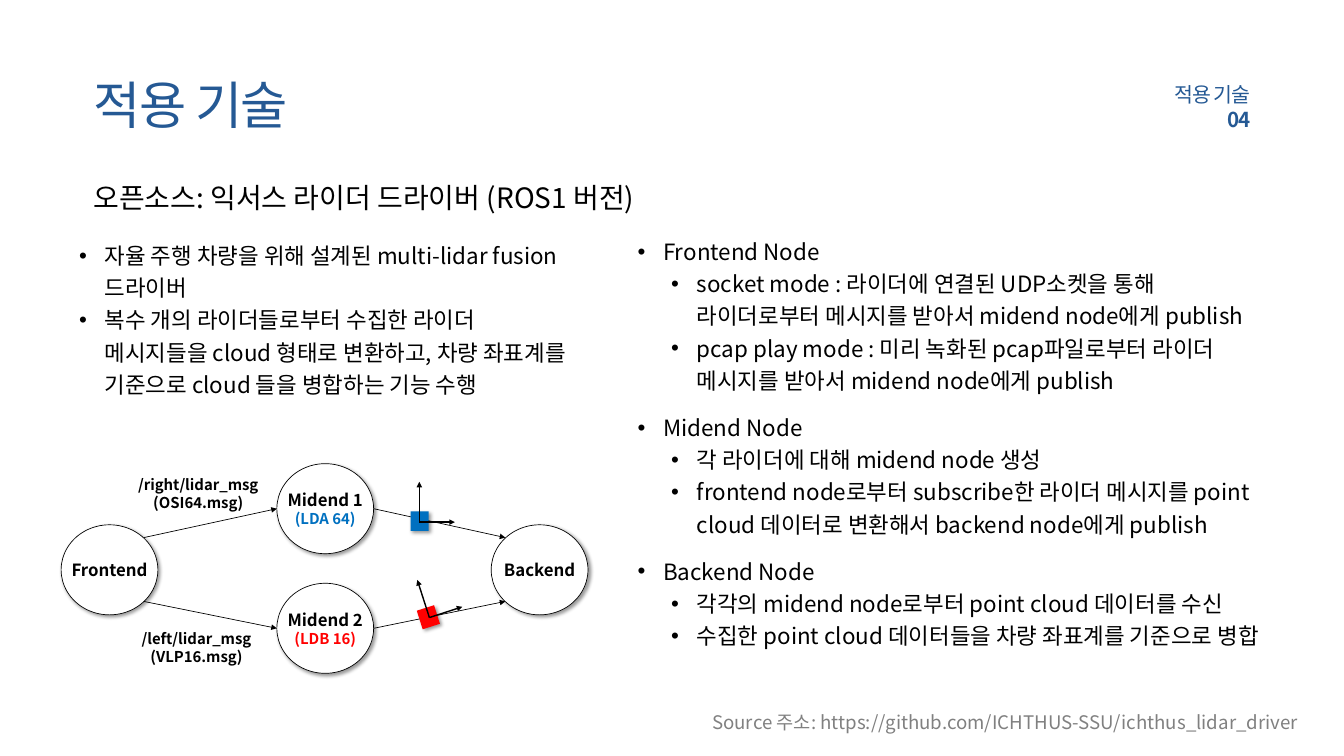
"""Build the slide on the open-source lidar driver and its node graph."""

from dataclasses import dataclass
from typing import Any

import lxml.etree
import pptx
import pptx.dml.color
import pptx.enum.shapes
import pptx.enum.text
import pptx.oxml.ns
import pptx.util
from pptx.util import Inches

FONT = "Noto Sans CJK KR"
COLORS = {
    "title": "255994",
    "black": "000000",
    "white": "FFFFFF",
    "blue": "0070C0",
    "red": "FF0000",
    "gray": "808080",
}
ALIGN = pptx.enum.text.PP_ALIGN
ANCHOR = pptx.enum.text.MSO_ANCHOR
SHAPE = pptx.enum.shapes.MSO_SHAPE
LINE_FACTOR = 1.2
BULLET_FACTOR = 1.44
NODE_SIZE = (1.44, 1.34)
SENSOR_SIZE = (0.27, 0.29)


@dataclass(frozen=True)
class Line:
    text: str
    size: float
    color: str = "black"
    bold: bool = False
    align: Any = ALIGN.LEFT
    tracking: float = 0
    level: int | None = None


@dataclass(frozen=True)
class Node:
    left: float
    top: float
    name: str
    sensor: str = ""
    color: str = "black"


@dataclass(frozen=True)
class Arrow:
    start: tuple[float, float]
    end: tuple[float, float]
    width: float = 0.75


@dataclass(frozen=True)
class Sensor:
    left: float
    top: float
    color: str
    rotation: float = 0


@dataclass(frozen=True)
class BulletBlock:
    box: tuple[float, float, float, float]
    items: tuple[tuple[int, str], ...]


NODES = (
    Node(4.12, 6.9, "Midend 1", "(LDA 64)", "blue"),
    Node(4.12, 8.68, "Midend 2", "(LDB 16)", "red"),
    Node(0.91, 7.81, "Frontend"),
    Node(7.31, 7.81, "Backend"),
)
MESSAGE_ARROWS = (
    Arrow((2.14, 8), (4.12, 7.57)),
    Arrow((2.14, 8.95), (4.12, 9.35)),
    Arrow((5.56, 7.57), (7.52, 8)),
    Arrow((5.56, 9.35), (7.52, 8.95)),
)
MESSAGES = (
    ((1.94, 7.08, 2.02, 0.54), ("/right/lidar_msg", "(OSI64.msg)")),
    ((2.09, 9.37, 1.67, 0.54), ("/left/lidar_msg", "(VLP16.msg)")),
)
SENSORS = (Sensor(6.11, 7.61, "blue"), Sensor(6.24, 9.04, "red", 342.4))
AXES = (
    Arrow((6.24, 7.77), (6.24, 7.17), 1.5),
    Arrow((6.24, 7.77), (6.77, 7.77), 1.5),
    Arrow((6.39, 9.19), (6.21, 8.63), 1.5),
    Arrow((6.39, 9.19), (6.88, 9.03), 1.5),
)
BULLET_BLOCKS = (
    BulletBlock((9.39, 3.41, 9.7, 2.49), (
        (0, "Frontend Node"),
        (1, "socket mode : 라이더에 연결된 UDP소켓을 통해 라이더로부터 메시지를 받아서 midend node에게 publish"),
        (1, "pcap play mode : 미리 녹화된 pcap파일로부터 라이더 메시지를 받아서 midend node에게 publish"),
    )),
    BulletBlock((9.39, 6.03, 9.7, 2.01), (
        (0, "Midend Node"),
        (1, "각 라이더에 대해 midend node 생성"),
        (1, "frontend node로부터 subscribe한 라이더 메시지를 point cloud 데이터로 변환해서 backend node에게 publish"),
    )),
    BulletBlock((9.39, 8.17, 9.7, 1.52), (
        (0, "Backend Node"),
        (1, "각각의 midend node로부터 point cloud 데이터를 수신"),
        (1, "수집한 point cloud 데이터들을 차량 좌표계를 기준으로 병합"),
    )),
    BulletBlock((1.08, 3.47, 7.67, 2.49), (
        (0, "자율 주행 차량을 위해 설계된 multi-lidar fusion 드라이버"),
        (0, "복수 개의 라이더들로부터 수집한 라이더 메시지들을 cloud 형태로 변환하고, 차량 좌표계를 기준으로 cloud 들을 병합하는 기능 수행"),
    )),
)


def rgb(name: str) -> pptx.dml.color.RGBColor:
    """Return a palette colour."""
    return pptx.dml.color.RGBColor.from_string(COLORS[name])


def add_xml(parent: Any, tag: str, **attributes: str) -> Any:
    """Append a child element and return it."""
    return lxml.etree.SubElement(parent, pptx.oxml.ns.qn(tag), attributes)


def write(frame: Any, lines: list[Line], anchor: Any = ANCHOR.TOP, wrap: bool = True) -> None:
    """Fill a text frame with formatted paragraphs."""
    frame.word_wrap = wrap
    frame.auto_size = pptx.enum.text.MSO_AUTO_SIZE.NONE
    frame.vertical_anchor = anchor
    for index, line in enumerate(lines):
        paragraph = frame.paragraphs[0] if index == 0 else frame.add_paragraph()
        paragraph.text = line.text
        paragraph.alignment = line.align
        factor = LINE_FACTOR if line.level is None else BULLET_FACTOR
        paragraph.line_spacing = pptx.util.Pt(round(line.size * factor, 1))
        properties = paragraph._p.get_or_add_pPr()
        if line.level is not None:
            paragraph.level = line.level
            properties.set("marL", str(Inches(0.38 + 0.5 * line.level)))
            properties.set("indent", str(Inches(-0.38)))
            add_xml(properties, "a:buFont", typeface="Arial")
            add_xml(properties, "a:buChar", char="•")
        font = paragraph.font
        font.size = pptx.util.Pt(line.size)
        font.bold = line.bold
        font.color.rgb = rgb(line.color)
        font.name = FONT
        defaults = properties.find(pptx.oxml.ns.qn("a:defRPr"))
        add_xml(defaults, "a:ea", typeface=FONT)
        if line.tracking:
            defaults.set("spc", str(round(line.tracking * 100)))


def add_text(shapes: Any, box: tuple[float, ...], lines: list[Line], anchor: Any = ANCHOR.TOP) -> Any:
    """Add a wrapping text box and return its frame."""
    frame = shapes.add_textbox(*map(Inches, box)).text_frame
    write(frame, lines, anchor)
    return frame


def add_shadowed(shapes: Any, kind: Any, box: tuple[float, ...], color: str) -> Any:
    """Add a filled shape with a soft diagonal shadow."""
    shape = shapes.add_shape(kind, *map(Inches, box))
    shape.fill.solid()
    shape.fill.fore_color.rgb = rgb(color)
    shape.line.fill.background()
    shape.shadow.inherit = False
    effects = shape._element.spPr.find(pptx.oxml.ns.qn("a:effectLst"))
    shadow = add_xml(effects, "a:outerShdw", blurRad="50800", dist="38100", dir="2700000", algn="tl", rotWithShape="0")
    tint = add_xml(shadow, "a:srgbClr", val=COLORS["black"])
    add_xml(tint, "a:alpha", val="40000")
    return shape


def add_node(shapes: Any, node: Node) -> None:
    """Draw a round graph node with its labels."""
    circle = add_shadowed(shapes, SHAPE.OVAL, (node.left, node.top, *NODE_SIZE), "white")
    circle.line.color.rgb = rgb("black")
    circle.line.width = pptx.util.Pt(0.75)
    labels = [Line(node.name, 18, bold=True, align=ALIGN.CENTER)]
    if node.sensor:
        labels.append(Line(node.sensor, 16, node.color, True, ALIGN.CENTER))
    write(circle.text_frame, labels, ANCHOR.MIDDLE, wrap=False)


def add_arrow(shapes: Any, arrow: Arrow) -> None:
    """Draw a straight black arrow."""
    connector = shapes.add_connector(
        pptx.enum.shapes.MSO_CONNECTOR.STRAIGHT, *map(Inches, arrow.start + arrow.end))
    connector.line.color.rgb = rgb("black")
    connector.line.width = pptx.util.Pt(arrow.width)
    add_xml(connector.line._get_or_add_ln(), "a:tailEnd", type="triangle")
    add_xml(connector._element.spPr, "a:effectLst")


def add_sensor(shapes: Any, sensor: Sensor) -> None:
    """Draw a sensor square."""
    square = add_shadowed(shapes, SHAPE.RECTANGLE, (sensor.left, sensor.top, *SENSOR_SIZE), sensor.color)
    square.rotation = sensor.rotation


def add_graph(shapes: Any) -> None:
    """Draw the node graph as one group."""
    graph = shapes.add_group_shape().shapes
    for node in NODES:
        add_node(graph, node)
    for arrow in MESSAGE_ARROWS:
        add_arrow(graph, arrow)
    for box, texts in MESSAGES:
        frame = add_text(graph, box, [Line(text, 16, bold=True, align=ALIGN.CENTER) for text in texts])
        frame.margin_left = frame.margin_right = frame.margin_top = frame.margin_bottom = 0
    for sensor in SENSORS:
        add_sensor(graph, sensor)
    for axis in AXES:
        add_arrow(graph, axis)


def main() -> None:
    """Build and save the presentation."""
    deck = pptx.Presentation()
    deck.slide_width, deck.slide_height = Inches(20), Inches(11.25)
    slide = deck.slides.add_slide(deck.slide_layouts.get_by_name("Title Only"))
    shapes = slide.shapes
    title = shapes.title
    title.left, title.top, title.width, title.height = map(Inches, (1.29, 1.03, 16.06, 1.03))
    write(title.text_frame, [Line("적용 기술", 55, "title", tracking=-1.5)], ANCHOR.MIDDLE)
    add_text(shapes, (9.1, 1.17, 9.61, 0.84), [
        Line("적용 기술", 22, "title", align=ALIGN.RIGHT, tracking=-1),
        Line("04", 22, "title", True, ALIGN.RIGHT, -1),
    ], ANCHOR.MIDDLE)
    add_text(shapes, (1.29, 2.63, 10.13, 0.61), [Line("오픈소스: 익서스 라이더 드라이버 (ROS1 버전)", 30)])
    add_graph(shapes)
    address = "Source 주소: https://github.com/ICHTHUS-SSU/ichthus_lidar_driver"
    add_text(shapes, (9.39, 10.52, 10.03, 0.44), [Line(address, 20, "gray", align=ALIGN.RIGHT)], ANCHOR.MIDDLE)
    for block in BULLET_BLOCKS:
        add_text(shapes, block.box, [Line(text, 24, level=level) for level, text in block.items])
    deck.save("out.pptx")


if __name__ == "__main__":
    main()
